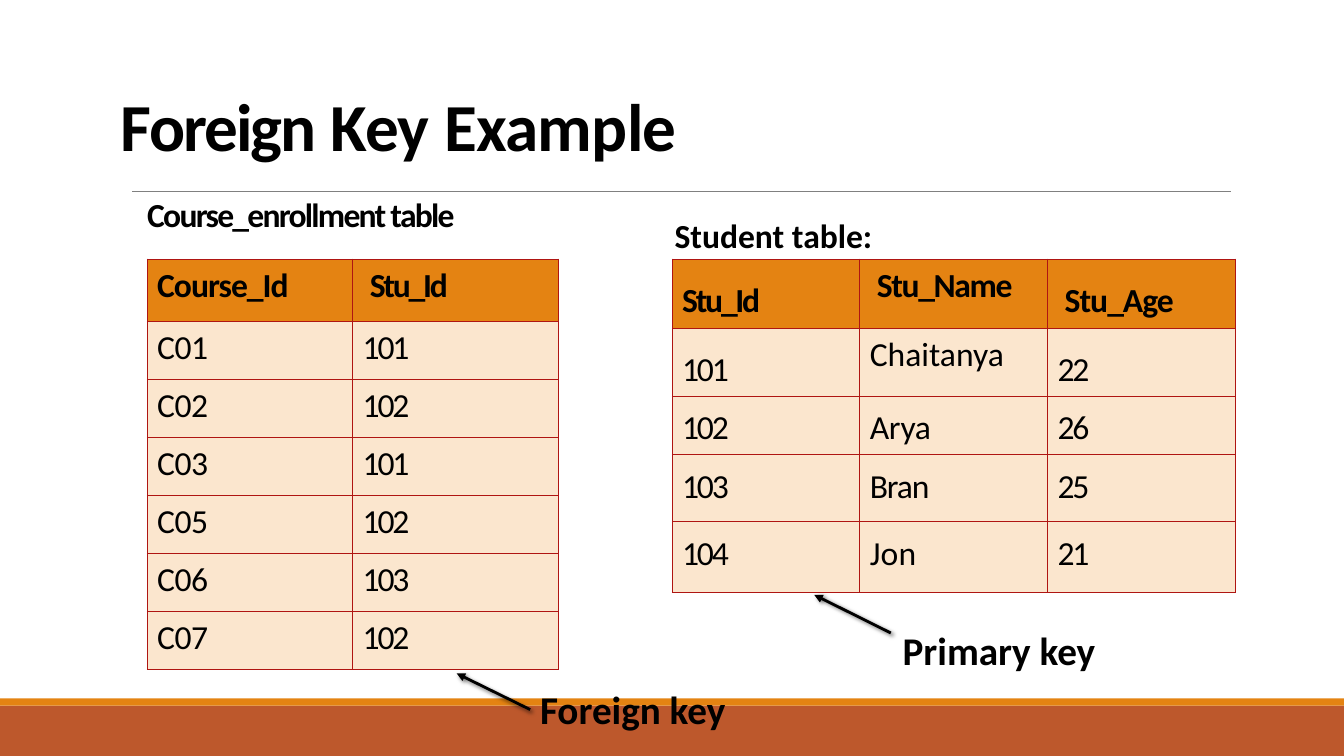
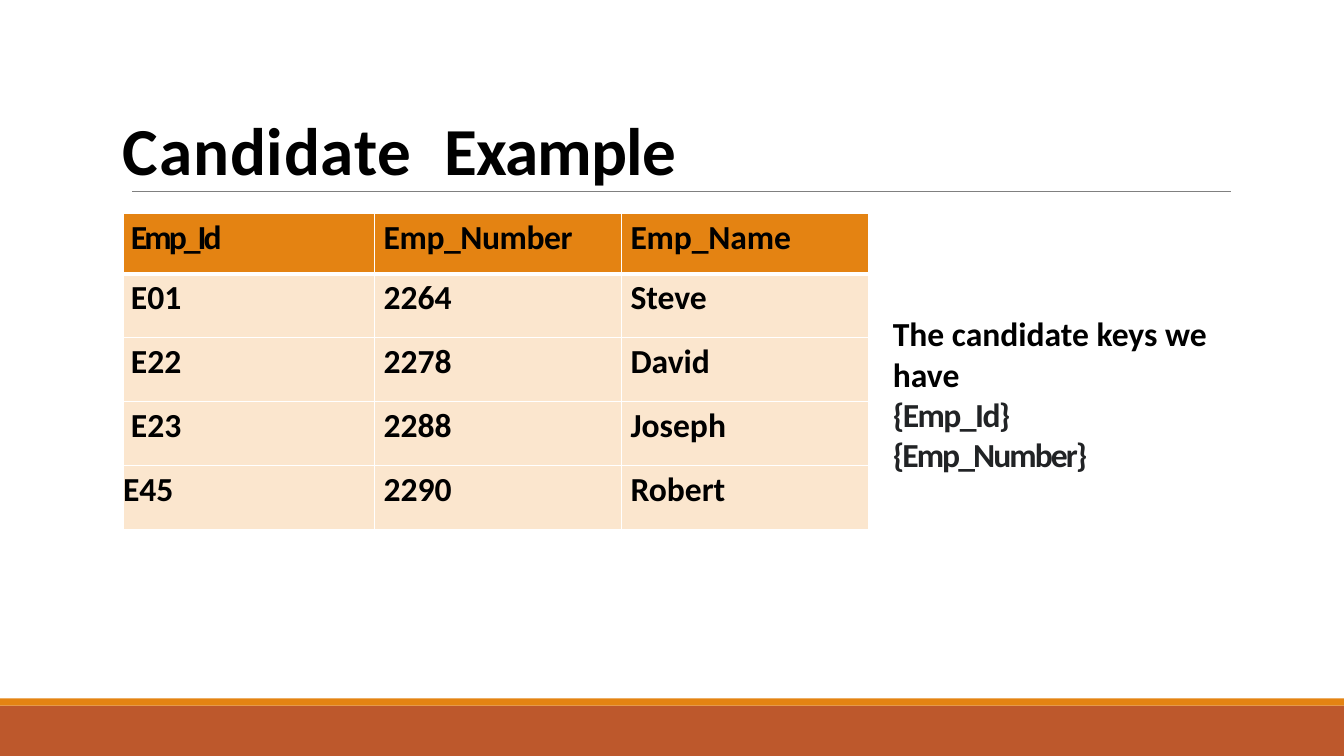
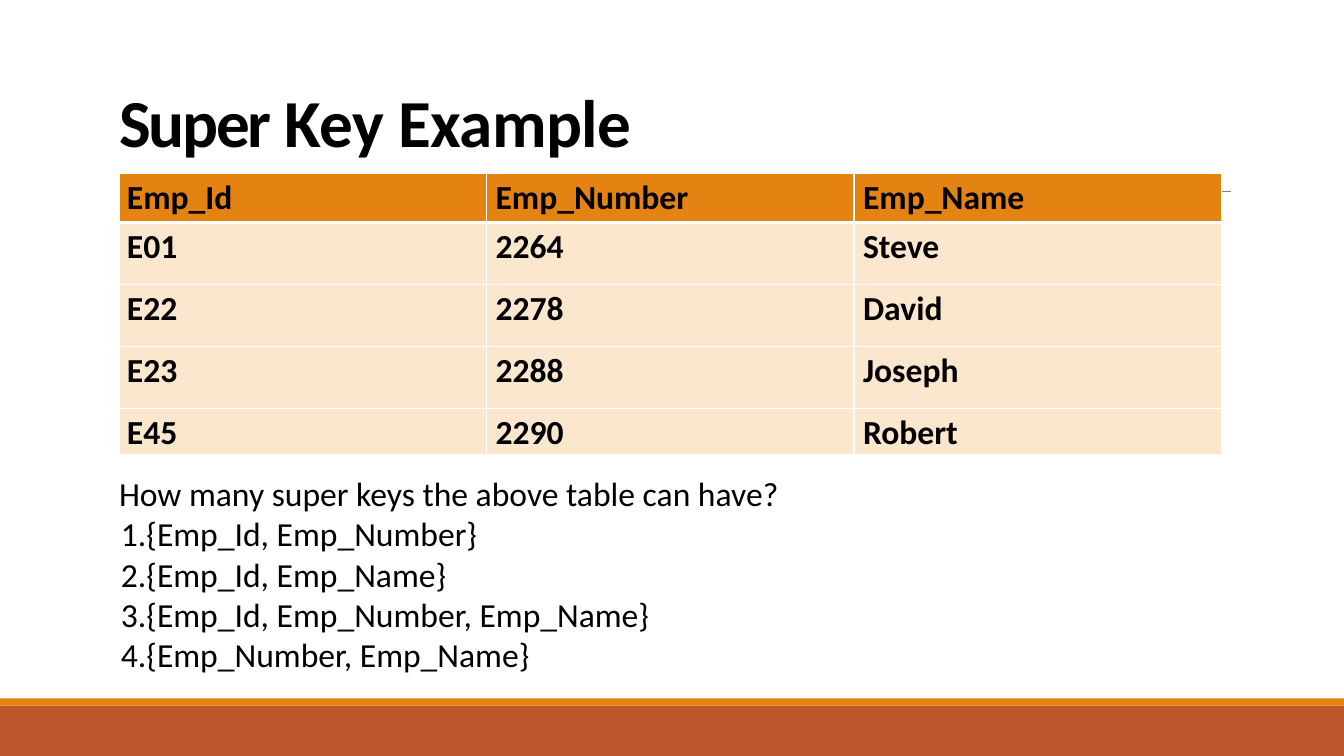
import pptx
import pptx.dml.color
import pptx.enum.shapes
import pptx.enum.text
import pptx.oxml
import pptx.oxml.ns
import pptx.util
from lxml import etree

Cm, Pt = pptx.util.Cm, pptx.util.Pt
qn = pptx.oxml.ns.qn

FONT = "Calibri"
BLACK, WHITE, CHARCOAL, GRAY = "000000", "FFFFFF", "212325", "808080"
RUST, ORANGE, CREAM, RED = "BD582C", "E48312", "FBE6CE", "AF1512"
TITLE_SIZE, BODY_SIZE, KEY_SIZE = 48, 24, 28


def color(hex_code):
    return pptx.dml.color.RGBColor.from_string(hex_code)


def write(paragraph, pieces, size=BODY_SIZE, bold=False, ink=BLACK):
    """Write (text, letter spacing in points) pieces as formatted runs."""
    for text, spacing in pieces:
        run = paragraph.add_run()
        run.text = text
        run.font.name = FONT
        run.font.size = Pt(size)
        run.font.bold = bold
        run.font.color.rgb = color(ink)
        if spacing:
            run._r.get_or_add_rPr().set("spc", str(round(spacing * 100)))


presentation = pptx.Presentation()
presentation.slide_width, presentation.slide_height = Cm(33.87), Cm(19.05)

# Titles: left, top, width, pieces
titles = [
    (3.05, 2.08, 15.2, [("Foreign ", -1.4), ("Key ", -0.4), ("Example", -0.5)]),
    (3.1, 2.69, 17.6, [("Candidate", 0.6), (" ", 12), ("Example", -0.6)]),
    (3, 1.98, 13.95, [("Super ", -1.6), ("Key ", -0.4), ("Example", -0.5)]),
]

# Slides with their shared bands, rule and title style
slides = []
for left, top, width, pieces in titles:
    slide = presentation.slides.add_slide(presentation.slide_layouts[6])
    slides.append(slide)
    for band_top, band_height, band_fill in [(17.78, 1.27, RUST), (17.6, 0.18, ORANGE)]:
        band = slide.shapes.add_shape(
            pptx.enum.shapes.MSO_SHAPE.RECTANGLE,
            0, Cm(band_top), presentation.slide_width, Cm(band_height))
        band.shadow.inherit = False
        band.fill.solid()
        band.fill.fore_color.rgb = color(band_fill)
        band.line.fill.background()
    rule = slide.shapes.add_connector(
        pptx.enum.shapes.MSO_CONNECTOR.STRAIGHT, Cm(3.33), Cm(4.83), Cm(31.01), Cm(4.83))
    rule.line.color.rgb = color(GRAY)
    rule.line.width = Pt(0.5)
    etree.SubElement(rule._element.spPr, qn("a:effectLst"))

    title = slide.shapes.add_textbox(Cm(left), Cm(top), Cm(width), Cm(2.08))
    frame = title.text_frame
    frame.word_wrap = True
    frame.vertical_anchor = pptx.enum.text.MSO_ANCHOR.BOTTOM
    frame.margin_left = frame.margin_right = frame.margin_bottom = 0
    frame.margin_top = Cm(0.03)
    write(frame.paragraphs[0], pieces, TITLE_SIZE, True)
foreign_slide, candidate_slide, super_slide = slides

# Table contents
enrollment_rows = [
    ["Course_Id", "Stu_Id"], ["C01", "101"], ["C02", "102"], ["C03", "101"],
    ["C05", "102"], ["C06", "103"], ["C07", "102"]]
student_rows = [
    ["Stu_Id", "Stu_Name", "Stu_Age"], ["101", "Chaitanya", "22"],
    ["102", "Arya", "26"], ["103", "Bran", "25"], ["104", "Jon", "21"]]
employee_rows = [
    ["Emp_Id", "Emp_Number", "Emp_Name"], ["E01", "2264", "Steve"],
    ["E22", "2278", "David"], ["E23", "2288", "Joseph"], ["E45", "2290", "Robert"]]

# Cell insets in centimetres and letter spacing in points, cell by cell
employee_left = [[0.2, 0.23, 0.23]] * 5
employee_top = [[0.1] * 3] * 5
student_top = [[0.53, 0.15, 0.53]] * 2 + [[0.3] * 3] * 3
student_spacing = [[-1.6, -1, -0.7]] + [[-1.6, name, -1.6] for name in (0, -0.2, -0.8, 0.2)]

# Tables: slide, left, top, column widths, row heights, rows,
# left insets, top insets, spacing, bold body, border colour, border, header border
tables = [
    (foreign_slide, 3.71, 6.53, [5.18] * 2, [1.57] + [1.46] * 6, enrollment_rows,
     [[0.25, 0.43]] + [[0.25] * 2] * 6, [[0.15] * 2] * 7,
     [[-0.7, -1.6]] + [[-0.3, -1.6]] * 6, False, RED, 0.75, 0.75),
    (foreign_slide, 16.94, 6.53, [4.73] * 3, [1.75, 1.7, 1.48, 1.68, 1.78], student_rows,
     [[0.25, 0.43, 0.43]] + [[0.25] * 3] * 4, student_top,
     student_spacing, False, RED, 0.75, 0.75),
    (candidate_slide, 3.1, 5.38, [6.34, 6.22, 6.22], [1.52] + [1.61] * 4, employee_rows,
     employee_left[:4] + [[0, 0.23, 0.23]], employee_top,
     [[-2.1, -0.3, -0.1]] + [[0] * 3] * 4, True, WHITE, 1, 3),
    (super_slide, 3, 4.37, [9.26] * 3, [1.24, 1.56, 1.56, 1.56, 1.17], employee_rows,
     employee_left, employee_top, [[0] * 3] * 5, True, WHITE, 1, 3),
]
for (slide, left, top, widths, heights, rows, left_insets, top_insets, spacings,
     bold_body, border_color, border_width, header_border) in tables:
    table = slide.shapes.add_table(
        len(rows), len(widths), Cm(left), Cm(top), Cm(sum(widths)), Cm(sum(heights))).table
    table.first_row = table.horz_banding = False
    for column, width in zip(table.columns, widths):
        column.width = Cm(width)
    for r, height in enumerate(heights):
        table.rows[r].height = Cm(height)
        for c, text in enumerate(rows[r]):
            cell = table.cell(r, c)
            cell.margin_left, cell.margin_top = Cm(left_insets[r][c]), Cm(top_insets[r][c])
            cell.margin_right = cell.margin_bottom = 0
            for side in "LRTB":
                under_header = (r, side) in [(0, "B"), (1, "T")]
                line_width = header_border if under_header else border_width
                border = etree.SubElement(
                    cell._tc.get_or_add_tcPr(), qn("a:ln" + side), w=str(Pt(line_width)))
                fill = etree.SubElement(border, qn("a:solidFill"))
                etree.SubElement(fill, qn("a:srgbClr"), val=border_color)
            cell.fill.solid()
            cell.fill.fore_color.rgb = color(CREAM if r else ORANGE)
            write(cell.text_frame.paragraphs[0], [(text, spacings[r][c])],
                  bold=bold_body or r == 0)

# Text boxes: slide, left, top, width, height, inset, size,
# lines of (text, spacing, bold, colour, numbered)
super_keys = ["{Emp_Id, Emp_Number}", "{Emp_Id, Emp_Name}",
              "{Emp_Id, Emp_Number, Emp_Name}", "{Emp_Number, Emp_Name}"]
text_boxes = [
    (foreign_slide, 3.71, 4.85, 9.04, 1.07, False, BODY_SIZE,
     [("Course_enrollment table", -1.25, True, BLACK, False)]),
    (foreign_slide, 17, 5.38, 5.33, 1.07, False, BODY_SIZE,
     [("Student table:", 0, True, BLACK, False)]),
    (foreign_slide, 22.5, 15.65, 5.77, 1.45, True, KEY_SIZE,
     [("Primary key", 0, True, BLACK, False)]),
    (foreign_slide, 13.36, 17.15, 5.77, 1.45, True, KEY_SIZE,
     [("Foreign key", 0, True, BLACK, False)]),
    (candidate_slide, 22.25, 7.77, 10.06, 5.33, True, BODY_SIZE,
     [("The candidate keys we have", 0, True, BLACK, False),
      ("{Emp_Id}", -1.1, True, CHARCOAL, False),
      ("{Emp_Number}", -1.4, True, CHARCOAL, False)]),
    (super_slide, 3, 11.89, 18.47, 5.16, False, BODY_SIZE,
     [("How many super keys the above table can have?", 0, False, BLACK, False)]
     + [(key, 0, False, BLACK, True) for key in super_keys]),
]
for slide, left, top, width, height, inset, size, lines in text_boxes:
    frame = slide.shapes.add_textbox(Cm(left), Cm(top), Cm(width), Cm(height)).text_frame
    frame.word_wrap = True
    if not inset:
        frame.margin_left = frame.margin_right = frame.margin_bottom = 0
        frame.margin_top = Cm(0.03)
    for number, (text, spacing, bold, ink, numbered) in enumerate(lines):
        paragraph = frame.add_paragraph() if number else frame.paragraphs[0]
        if numbered:
            properties = paragraph._p.get_or_add_pPr()
            properties.set("marL", str(Cm(0.69)))
            properties.set("indent", str(-Cm(0.64)))
            etree.SubElement(properties, qn("a:buFont"), typeface=FONT)
            etree.SubElement(properties, qn("a:buAutoNum"), type="arabicPeriod")
        write(paragraph, [(text, spacing)], size, bold, ink)

# Arrows from the key labels to the tables
for start_x, start_y, end_x, end_y in [(22.45, 15.95, 20.52, 14.99),
                                       (13.36, 17.88, 11.51, 16.97)]:
    arrow = foreign_slide.shapes.add_connector(
        pptx.enum.shapes.MSO_CONNECTOR.STRAIGHT,
        Cm(start_x), Cm(start_y), Cm(end_x), Cm(end_y))
    arrow.line.color.rgb = color(BLACK)
    arrow.line.width = Pt(2)
    etree.SubElement(arrow.line._get_or_add_ln(), qn("a:tailEnd"), type="triangle")
    effects = etree.SubElement(arrow._element.spPr, qn("a:effectLst"))
    shadow = etree.SubElement(effects, qn("a:outerShdw"), blurRad=str(Pt(3)),
                              dist=str(Pt(2)), dir=str(45 * 60000))
    shadow_color = etree.SubElement(shadow, qn("a:srgbClr"), val=BLACK)
    etree.SubElement(shadow_color, qn("a:alpha"), val="60000")

presentation.save("out.pptx")
